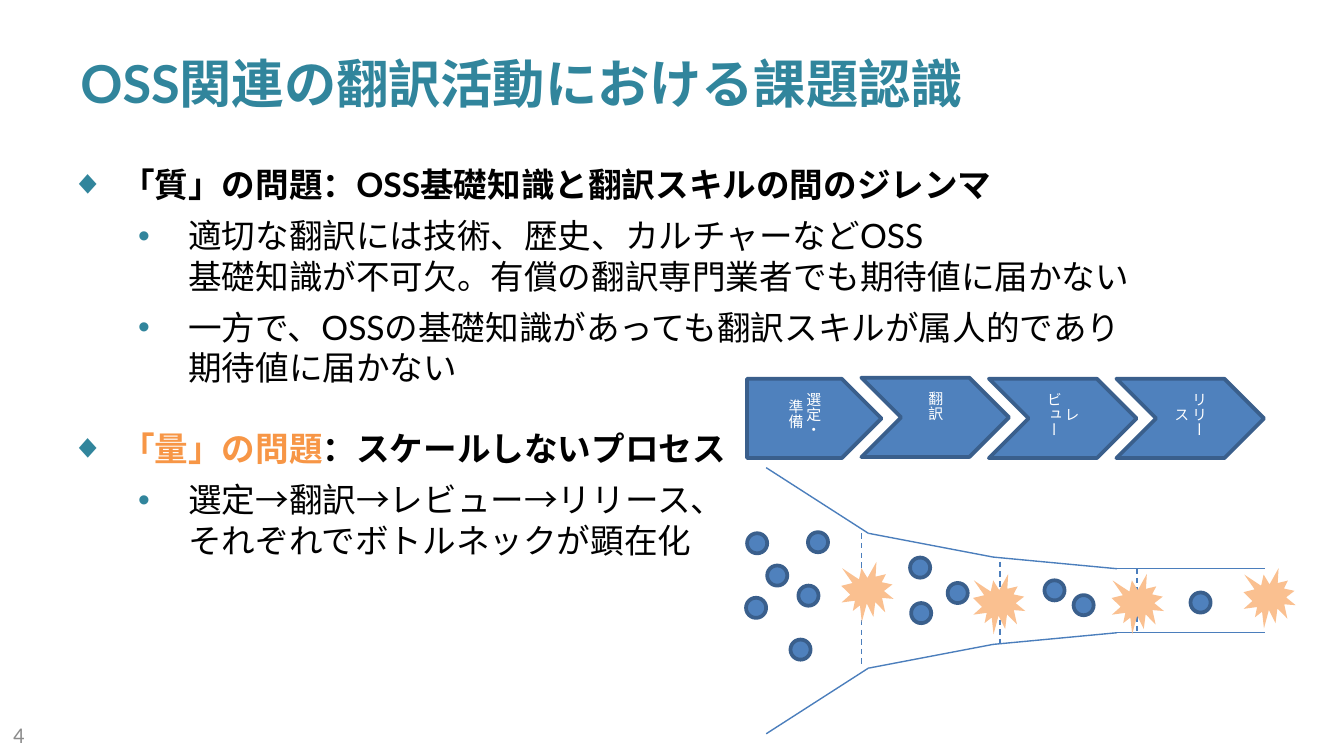
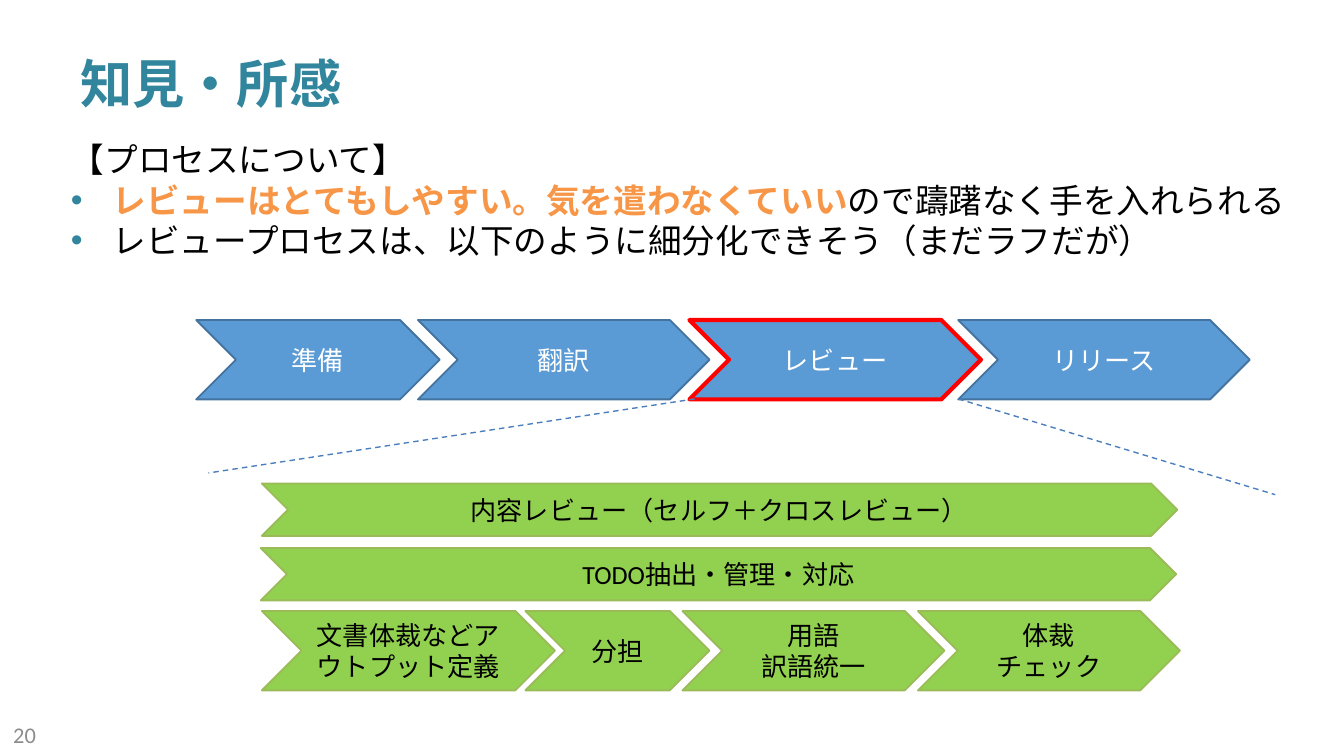
from dataclasses import dataclass
from itertools import pairwise

from lxml import etree
from pptx import Presentation
from pptx.dml.color import RGBColor
from pptx.enum.dml import MSO_LINE_DASH_STYLE as Dash
from pptx.enum.shapes import MSO_CONNECTOR as Conn, MSO_SHAPE as Shape
from pptx.enum.text import MSO_ANCHOR as Anchor, PP_ALIGN as Align
from pptx.oxml.ns import qn
from pptx.util import Cm, Pt

# Shared look
TEAL, ORANGE, PEACH = "31859C", "F79646", "FAC090"
BLACK, WHITE, GREY = "000000", "FFFFFF", "8C8C8C"
BLUE, NAVY, LINE_BLUE = "4F81BD", "3A5F8C", "4B7EBC"
HEAD, BODY = "Lato", "Calibri"


@dataclass
class Span:
    text: str
    color: str = BLACK
    bold: bool = False


@dataclass
class Para:
    spans: list[Span]
    bullet: str = ""
    left: float = 0
    hang: float = 0
    before: float = 0


@dataclass
class Style:
    fill: str
    line: str = ""
    width: float = 1
    color: str = WHITE
    size: float = 14
    vertical: bool = False


@dataclass
class Step:
    text: str
    x: float
    y: float
    w: float
    h: float = 1.5
    kind: Shape = Shape.CHEVRON


def rgb(value: str) -> RGBColor:
    return RGBColor.from_string(value)


def set_font(font, name: str, size: float, color: str = "", bold: bool | None = None) -> None:
    font.name, font.size, font.bold = name, Pt(size), bold
    if color:
        font.color.rgb = rgb(color)


def set_bullet(p, para: Para) -> None:
    pPr = p._p.get_or_add_pPr()
    pPr.set("marL", str(Cm(para.left)))
    pPr.set("indent", str(-Cm(para.hang)))
    # Bullet elements go before the default run properties
    defaults = pPr.find(qn("a:defRPr"))
    color = etree.Element(qn("a:buClr"))
    etree.SubElement(color, qn("a:srgbClr"), val=TEAL)
    font = etree.Element(qn("a:buFont"), typeface="Arial")
    char = etree.Element(qn("a:buChar"), char=para.bullet)
    for element in (color, font, char):
        defaults.addprevious(element)


def add_text(s, x: float, y: float, w: float, h: float, paras: list[Para],
             name: str = HEAD, size: float = 18, anchor: Anchor = Anchor.TOP) -> None:
    tf = s.shapes.add_textbox(Cm(x), Cm(y), Cm(w), Cm(h)).text_frame
    tf.word_wrap, tf.vertical_anchor = True, anchor
    for i, para in enumerate(paras):
        p = tf.add_paragraph() if i else tf.paragraphs[0]
        set_font(p.font, name, size)
        if para.before:
            p.space_before = Pt(para.before)
        if para.bullet:
            set_bullet(p, para)
        for span in para.spans:
            for n, line in enumerate(span.text.split("\n")):
                if n:
                    p.add_line_break()
                r = p.add_run()
                r.text = line
                set_font(r.font, name, size, span.color, span.bold)


def add_shape(s, kind: Shape, x: float, y: float, w: float, h: float, style: Style):
    sp = s.shapes.add_shape(kind, Cm(x), Cm(y), Cm(w), Cm(h))
    sp.shadow.inherit = False
    sp.fill.solid()
    sp.fill.fore_color.rgb = rgb(style.fill)
    if style.line:
        sp.line.color.rgb = rgb(style.line)
        sp.line.width = Pt(style.width)
    else:
        sp.line.fill.background()
    return sp


def add_step(s, step: Step, style: Style) -> None:
    sp = add_shape(s, step.kind, step.x, step.y, step.w, step.h, style)
    tf = sp.text_frame
    tf.word_wrap, tf.vertical_anchor = True, Anchor.MIDDLE
    if style.vertical:
        sp._element.txBody.bodyPr.set("vert", "eaVert")
    for i, line in enumerate(step.text.split("\n")):
        p = tf.add_paragraph() if i else tf.paragraphs[0]
        p.text, p.alignment = line, Align.CENTER
        set_font(p.font, BODY, style.size, style.color)


def add_line(s, x1: float, y1: float, x2: float, y2: float, dashed: bool = False) -> None:
    cx = s.shapes.add_connector(Conn.STRAIGHT, Cm(x1), Cm(y1), Cm(x2), Cm(y2))
    cx.line.color.rgb, cx.line.width = rgb(LINE_BLUE), Pt(0.75)
    if dashed:
        cx.line.dash_style = Dash.DASH
    etree.SubElement(cx._element.spPr, qn("a:effectLst"))


def new_slide(prs, title: str, number: int):
    s = prs.slides.add_slide(prs.slide_layouts[6])
    add_text(s, 1.27, 0.58, 22.86, 1.98, [Para([Span(title, TEAL, True)])],
             size=28, anchor=Anchor.MIDDLE)
    add_text(s, 0, 13.51, 5.92, 0.76, [Para([Span(str(number), GREY)])],
             BODY, 12, Anchor.MIDDLE)
    return s


def topic(*spans: Span, before: float = 0) -> Para:
    return Para(list(spans), "◆", 0.95, 0.95, before)


def detail(text: str) -> Para:
    return Para([Span(text)], "•", 2.22, 0.95, 6)


def point(*spans: Span) -> Para:
    return Para(list(spans), "•", 0.79, 0.79)


prs = Presentation()
prs.slide_width, prs.slide_height = Cm(25.4), Cm(14.29)

# Slide 1: issues
s = new_slide(prs, "OSS関連の翻訳活動における課題認識", 4)
add_text(s, 1.09, 2.97, 20.8, 9.37, [
    topic(Span("「質」の問題：OSS基礎知識と翻訳スキルの間のジレンマ", bold=True)),
    detail("適切な翻訳には技術、歴史、カルチャーなどOSS\n"
           "基礎知識が不可欠。有償の翻訳専門業者でも期待値に届かない"),
    detail("一方で、OSSの基礎知識があっても翻訳スキルが属人的であり\n期待値に届かない"),
    topic(Span("「量」の問題", ORANGE, True),
          Span("：スケールしないプロセス", bold=True), before=21.5),
    detail("選定→翻訳→レビュー→リリース、\nそれぞれでボトルネックが顕在化"),
])

# Funnel, mirrored about its axis
AXIS = 11.355
funnel = [(14.48, 8.84), (16.41, 10.08), (18.77, 10.53), (21.11, 10.75), (23.9, 10.75)]
for (x1, y1), (x2, y2) in pairwise(funnel):
    add_line(s, x1, y1, x2, y2)
    add_line(s, x1, 2 * AXIS - y1, x2, 2 * AXIS - y2)

# Process steps
process = Style(BLUE, NAVY, 2, size=8, vertical=True)
add_step(s, Step("選定・\n準備", 14.12, 7.16, 2.54, kind=Shape.PENTAGON), process)
for i, (text, y) in enumerate([("翻訳", 7.14), ("レビュー", 7.16), ("リリース", 7.16)]):
    add_step(s, Step(text, 16.28 + 2.41 * i, y, 2.79), process)

# Gates, work items and bottlenecks
for x, top, bottom in [(16.28, 10.08, 12.62), (18.9, 10.62, 12.22), (21.49, 10.74, 11.96)]:
    add_line(s, x, top, x, bottom, dashed=True)
items = [(14.12, 10.08), (14.5, 10.69), (14.1, 11.3), (14.94, 12.09), (15.09, 11.07),
         (15.27, 10.06), (17.2, 10.54), (17.22, 11.4), (17.91, 11.02), (19.74, 10.97),
         (20.29, 11.25), (22.5, 11.2)]
for x, y in items:
    add_shape(s, Shape.OVAL, x, y, 0.38, 0.38, process)
for x, y in [(15.9, 10.62), (18.39, 10.85), (21.01, 10.85), (23.5, 10.74)]:
    add_shape(s, Shape.EXPLOSION1, x, y, 0.99, 1.14, Style(PEACH))

# Slide 2: findings
s = new_slide(prs, "知見・所感", 20)
add_text(s, 1.09, 2.51, 23.6, 4.11, [
    Para([Span("【プロセスについて】")]),
    point(Span("レビューはとてもしやすい。気を遣わなくていい", ORANGE, True),
          Span("ので躊躇なく手を入れられる")),
    point(Span("レビュープロセスは、以下のように細分化できそう（まだラフだが）")),
])

# Main process, review highlighted
main = Style("5B9BD5", "43739E")
add_step(s, Step("レビュー", 13.03, 6.05, 5.51), Style("5B9BD5", "FF0000", 2.25))
for text, x, w in [("準備", 3.71, 4.6), ("翻訳", 7.9, 5.51), ("リリース", 18.11, 5.51)]:
    add_step(s, Step(text, x, 6.05, w), main)
add_line(s, 13.13, 7.54, 3.94, 8.94, dashed=True)
add_line(s, 18.11, 7.54, 24.1, 9.35, dashed=True)

# Review broken down
review = Style("92D050", "9BBB59", color=BLACK)
for step in [
    Step("内容レビュー（セルフ＋クロスレビュー）", 4.95, 9.14, 17.3, 0.99),
    Step("TODO抽出・管理・対応", 4.93, 10.36, 17.3, 0.99),
    Step("文書体裁などアウトプット定義", 4.95, 11.55, 5.54),
    Step("分担", 9.93, 11.55, 3.48),
    Step("用語\n訳語統一", 12.9, 11.55, 4.95),
    Step("体裁\nチェック", 17.35, 11.55, 4.95),
]:
    add_step(s, step, review)

prs.save("out.pptx")
